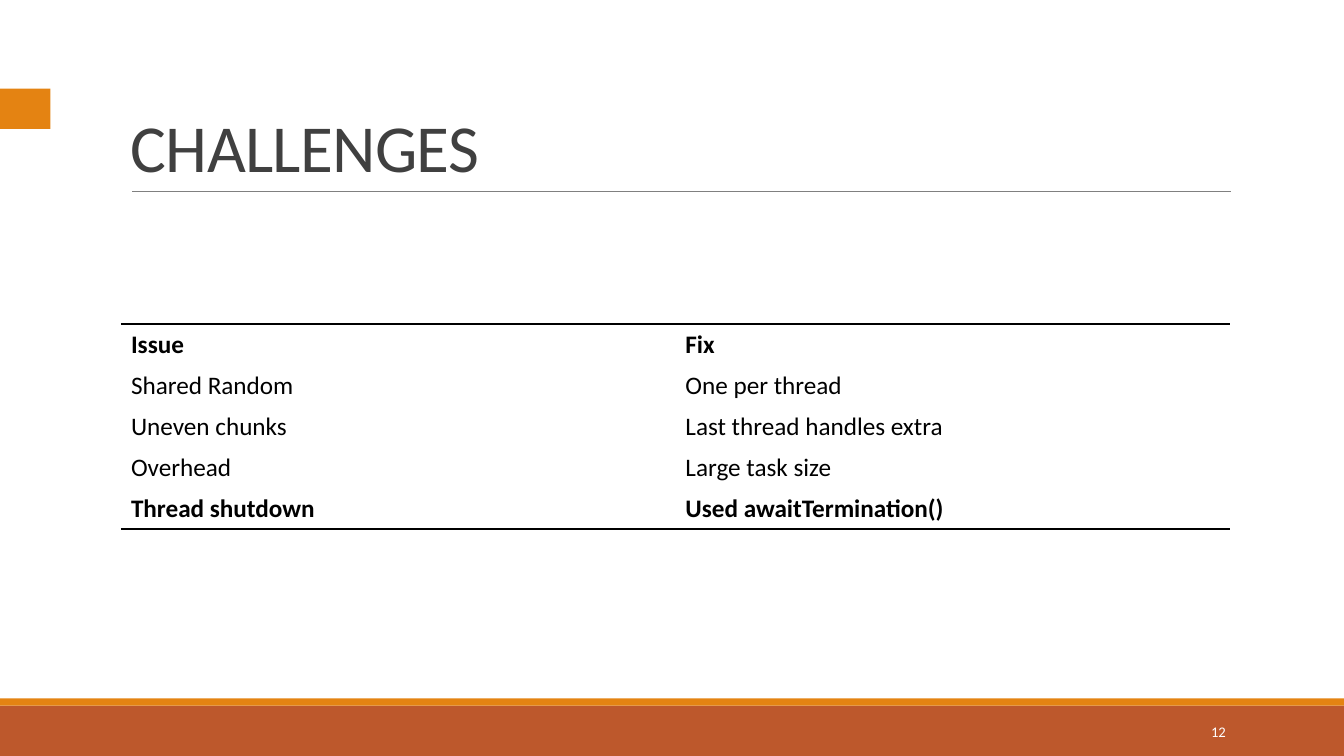
from dataclasses import dataclass, field

from lxml import etree
from pptx import Presentation
from pptx import util as u
from pptx.dml.color import RGBColor
from pptx.enum import shapes, text
from pptx.oxml import ns

COLS, ROWS = 133.33, 75
CELL = u.Inches(0.1)
FONT = "Calibri"
NO_STYLE = "{2D5ABB26-0587-4C30-8999-92F81FD0307C}"

RUST = RGBColor(0xBD, 0x58, 0x2C)
ORANGE = RGBColor(0xE4, 0x83, 0x12)
GREY = RGBColor(0x80, 0x80, 0x80)
CHARCOAL = RGBColor(0x40, 0x40, 0x40)
BLACK = RGBColor(0, 0, 0)
WHITE = RGBColor(0xFF, 0xFF, 0xFF)

CHALLENGES = [
    ("Issue", "Fix"),
    ("Shared Random", "One per thread"),
    ("Uneven chunks", "Last thread handles extra"),
    ("Overhead", "Large task size"),
    ("Thread shutdown", "Used awaitTermination()"),
]


@dataclass
class Box:
    col: float
    row: float
    cols: float
    rows: float

    def emu(self) -> list[int]:
        return [grid(n) for n in (self.col, self.row, self.cols, self.rows)]


@dataclass
class Bar:
    box: Box
    color: RGBColor


@dataclass
class Label:
    box: Box
    words: str
    size: float
    color: RGBColor
    anchor: text.MSO_ANCHOR
    para: dict = field(default_factory=dict)
    spacing: int = 0


BARS = [
    Bar(Box(0, 70, COLS, 5), RUST),
    Bar(Box(0, 69.3, COLS, 0.7), ORANGE),
    Bar(Box(0, 8.8, 5, 4), ORANGE),
]
LABELS = [
    Label(Box(12, 3.1, 110, 15.9), "CHALLENGES", 48, CHARCOAL,
          text.MSO_ANCHOR.BOTTOM, {"line_spacing": 0.85}, -50),
    Label(Box(108.3, 70.6, 14.3, 4), "12", 10.5, WHITE,
          text.MSO_ANCHOR.MIDDLE, {"alignment": text.PP_ALIGN.RIGHT}),
]
TABLE = Box(12, 32.15, 110, 20.35)


def grid(n: float) -> int:
    return round(n * CELL)


def apply(target, values: dict) -> None:
    for name, value in values.items():
        setattr(target, name, value)


def write(p, words: str, size: float, color: RGBColor, bold: bool = False):
    r = p.add_run()
    r.text = words
    apply(r.font, {"name": FONT, "size": u.Pt(size), "bold": bold})
    r.font.color.rgb = color
    return r


def draw_bar(s, bar: Bar) -> None:
    sp = s.shapes.add_shape(shapes.MSO_SHAPE.RECTANGLE, *bar.box.emu())
    sp.shadow.inherit = False
    sp.fill.solid()
    sp.fill.fore_color.rgb = bar.color
    sp.line.fill.background()


def draw_rule(s, left: float, right: float, row: float) -> None:
    ln = s.shapes.add_connector(shapes.MSO_CONNECTOR.STRAIGHT,
                                grid(left), grid(row), grid(right), grid(row))
    ln.line.color.rgb = GREY
    ln.line.width = u.Pt(0.5)
    etree.SubElement(ln._element.spPr, ns.qn("a:effectLst"))


def draw_label(s, label: Label) -> None:
    tf = s.shapes.add_textbox(*label.box.emu()).text_frame
    apply(tf, {"word_wrap": True, "vertical_anchor": label.anchor})
    p = tf.paragraphs[0]
    apply(p, label.para)
    r = write(p, label.words, label.size, label.color)
    if label.spacing:
        r.font._element.set("spc", str(label.spacing))


def add_border(cell, tag: str) -> None:
    ln = etree.Element(ns.qn(tag), w=str(u.Pt(2)))
    fill = etree.SubElement(ln, ns.qn("a:solidFill"))
    etree.SubElement(fill, ns.qn("a:srgbClr"), val=str(BLACK))
    cell._tc.get_or_add_tcPr().insert(0, ln)


def draw_table(s, box: Box, rows: list[tuple[str, str]]) -> None:
    last = len(rows) - 1
    borders = {0: "a:lnT", last: "a:lnB"}
    tbl = s.shapes.add_table(len(rows), len(rows[0]), *box.emu()).table
    tbl._tbl.tblPr.find(ns.qn("a:tableStyleId")).text = NO_STYLE
    apply(tbl, {"horz_banding": False, "last_row": True})
    for i, row in enumerate(rows):
        for j, words in enumerate(row):
            cell = tbl.cell(i, j)
            cell.vertical_anchor = text.MSO_ANCHOR.MIDDLE
            cell.fill.solid()
            cell.fill.fore_color.rgb = WHITE
            write(cell.text_frame.paragraphs[0], words, 18, BLACK, i in borders)
            if i in borders:
                add_border(cell, borders[i])


def main() -> None:
    prs = Presentation()
    apply(prs, {"slide_width": grid(COLS), "slide_height": grid(ROWS)})
    s = prs.slides.add_slide(prs.slide_layouts[6])
    for bar in BARS:
        draw_bar(s, bar)
    draw_rule(s, 13.1, 122.1, 19)
    for label in LABELS:
        draw_label(s, label)
    draw_table(s, TABLE, CHALLENGES)
    prs.save("out.pptx")


if __name__ == "__main__":
    main()
